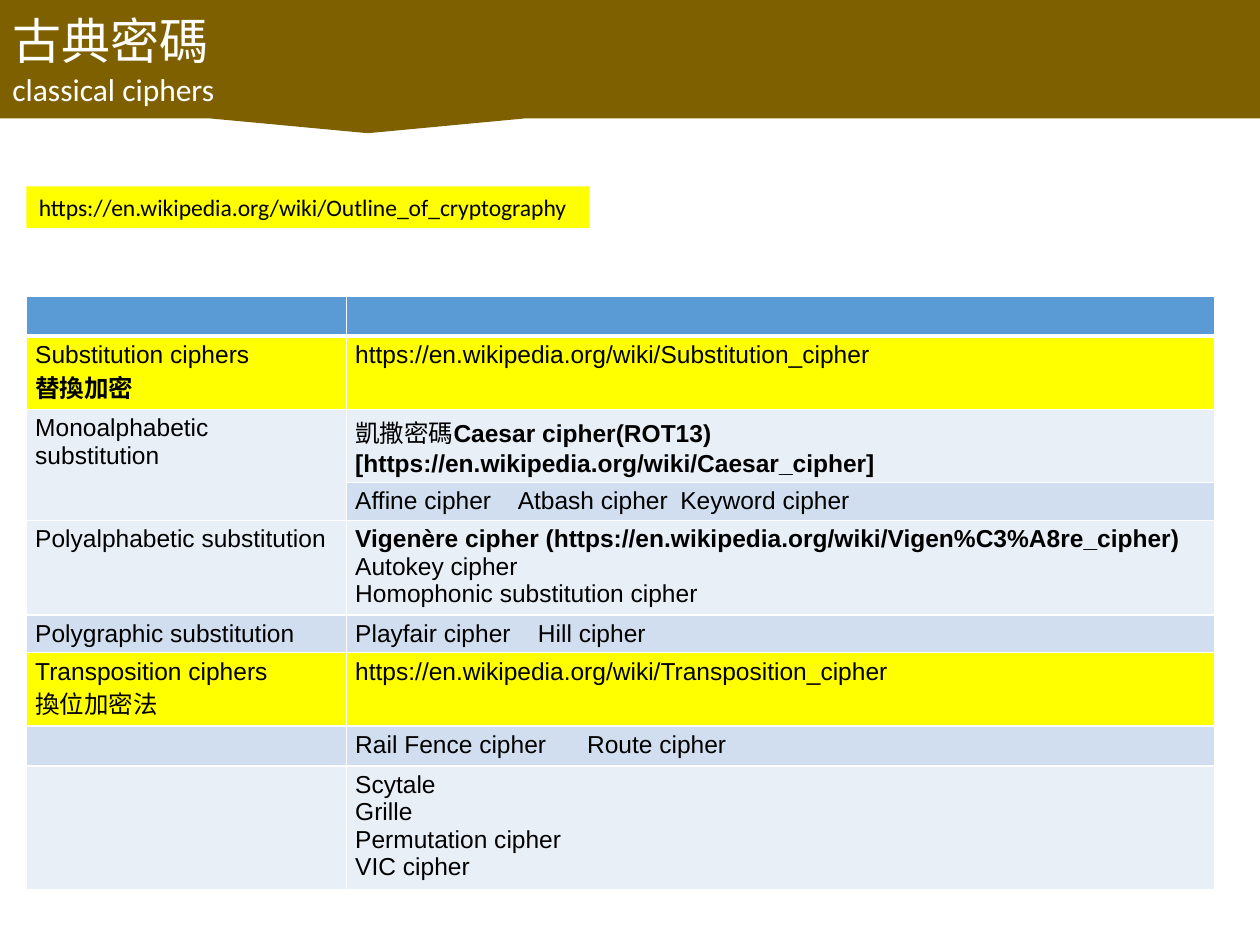
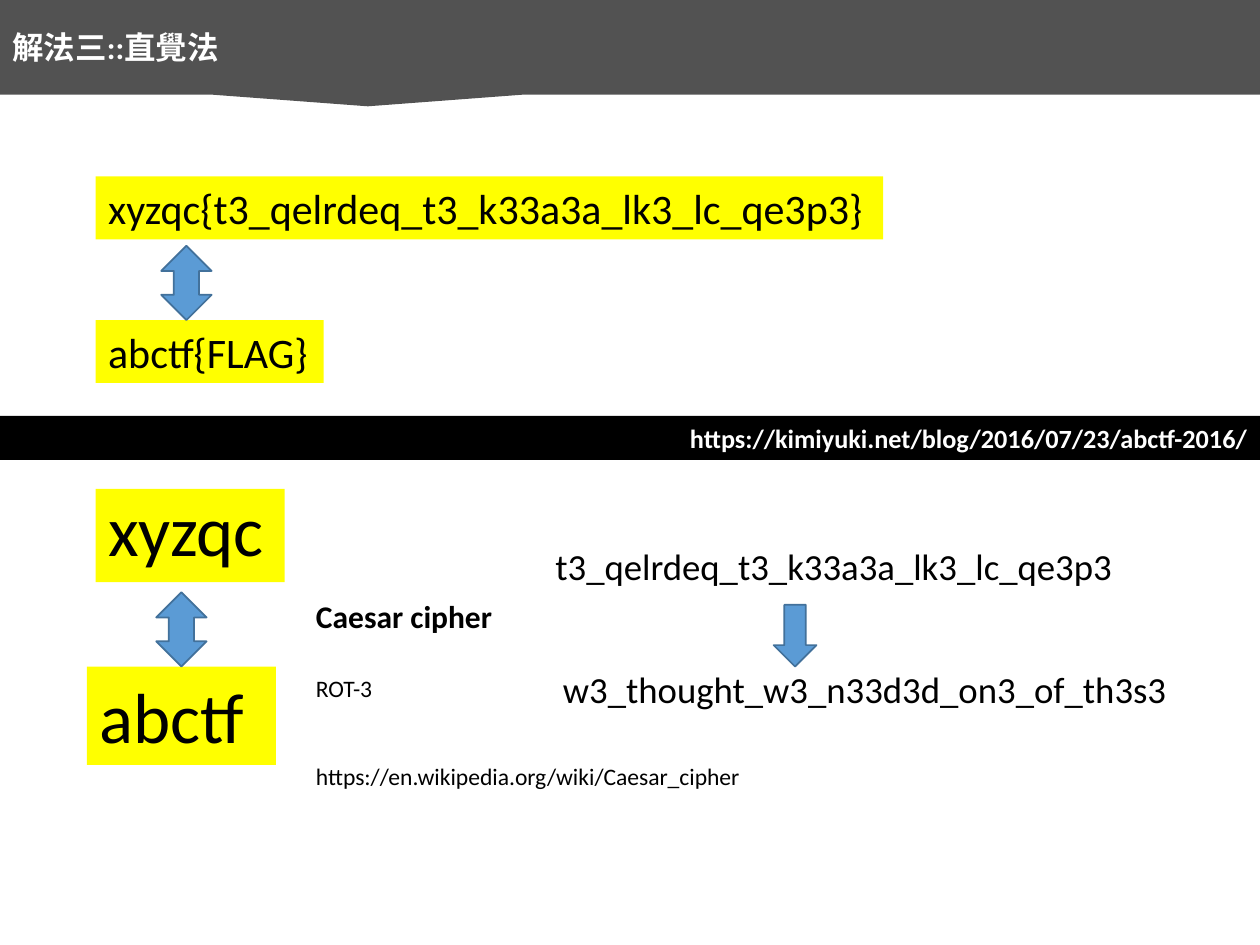
from lxml import etree
from pptx import Presentation
from pptx.dml.color import RGBColor
from pptx.enum.shapes import MSO_SHAPE
from pptx.enum.text import MSO_ANCHOR, PP_ALIGN
from pptx.oxml.ns import qn
from pptx.util import Pt

# Scale: 100 px to the inch
PX = 9144

RECT = MSO_SHAPE.RECTANGLE
CALLOUT = MSO_SHAPE.RECTANGULAR_CALLOUT
UP_DOWN, DOWN = MSO_SHAPE.UP_DOWN_ARROW, MSO_SHAPE.DOWN_ARROW
LEFT, RIGHT = PP_ALIGN.LEFT, PP_ALIGN.RIGHT
TOP, MIDDLE = MSO_ANCHOR.TOP, MSO_ANCHOR.MIDDLE

WHITE, BLACK, YELLOW = "FFFFFF", "000000", "FFFF00"
BLUE, BLUE_EDGE = "5B9BD5", "42719B"
BAND_LIGHT, BAND_DARK = "E9EFF7", "D0DEEF"
BROWN, GREY = "7F6000", "525252"


def px(n):
    return n * PX


def rgb(color):
    return RGBColor.from_string(color)


def write(tf, lines, size=14, color=BLACK, font="Calibri", bold=False,
          align=LEFT, spacing=None, tabs=()):
    """Each line is a string or a list of (text, bold) runs."""
    for i, line in enumerate([lines] if isinstance(lines, str) else lines):
        p = tf.paragraphs[0] if i == 0 else tf.add_paragraph()
        p.alignment = align
        if spacing:
            p.line_spacing = spacing
        if tabs:
            tab_list = etree.SubElement(p._p.get_or_add_pPr(), qn("a:tabLst"))
            for pos in tabs:
                etree.SubElement(tab_list, qn("a:tab"), pos=str(px(pos)), algn="l")
        for text, is_bold in [(line, bold)] if isinstance(line, str) else line:
            r = p.add_run()
            r.text = text
            r.font.name, r.font.size, r.font.bold = font, Pt(size), is_bold
            r.font.color.rgb = rgb(color)


def set_borders(cell, top=1, bottom=1):
    tc_pr = cell._tc.get_or_add_tcPr()
    for side, width in (("L", 1), ("R", 1), ("T", top), ("B", bottom)):
        ln = etree.SubElement(tc_pr, qn(f"a:ln{side}"), w=str(Pt(width)))
        fill = etree.SubElement(ln, qn("a:solidFill"))
        etree.SubElement(fill, qn("a:srgbClr"), val=WHITE)


class Deck:
    def __init__(self):
        self.prs = Presentation()
        self.prs.slide_width, self.prs.slide_height = px(1000), px(750)
        self.s = None

    def new_slide(self):
        self.s = self.prs.slides.add_slide(self.prs.slide_layouts[6])

    def shape(self, kind, x, y, w, h, fill, line=None):
        sp = self.s.shapes.add_shape(kind, px(x), px(y), px(w), px(h))
        sp.shadow.inherit = False
        sp.fill.solid()
        sp.fill.fore_color.rgb = rgb(fill)
        if line:
            sp.line.color.rgb = rgb(line)
            sp.line.width = Pt(1)
        else:
            sp.line.fill.background()
        return sp

    def box(self, x, y, w, h, lines, fill=YELLOW, kind=RECT, anchor=TOP, **fmt):
        sp = self.shape(kind, x, y, w, h, fill)
        sp.text_frame.word_wrap = True
        sp.text_frame.vertical_anchor = anchor
        write(sp.text_frame, lines, **fmt)
        return sp

    def text(self, x, y, w, h, lines, **fmt):
        sp = self.s.shapes.add_textbox(px(x), px(y), px(w), px(h))
        sp.text_frame.word_wrap = True
        write(sp.text_frame, lines, **fmt)

    def arrow(self, kind, x, y, w, h):
        self.shape(kind, x, y, w, h, BLUE, BLUE_EDGE)

    def title_band(self, height, fill, lines, **fmt):
        sp = self.box(0, 0, 1000, height, lines, fill, CALLOUT, MIDDLE,
                      color=WHITE, **fmt)
        sp.adjustments[0], sp.adjustments[1] = -0.208, 0.625
        return sp

    def table(self, x, y, widths, rows):
        """Each row is (height, fill, cells); a cell is (lines, tab stops)."""
        tbl = self.s.shapes.add_table(
            len(rows), len(widths), px(x), px(y), px(sum(widths)),
            px(sum(row[0] for row in rows))).table
        tbl.first_row = tbl.horz_banding = False
        for col, width in zip(tbl.columns, widths):
            col.width = px(width)
        for i, (height, fill, cells) in enumerate(rows):
            tbl.rows[i].height = px(height)
            for j, (lines, tabs) in enumerate(cells):
                cell = tbl.cell(i, j)
                set_borders(cell, top=3 if i == 1 else 1, bottom=3 if i == 0 else 1)
                cell.fill.solid()
                cell.fill.fore_color.rgb = rgb(fill)
                cell.margin_left = cell.margin_right = px(7)
                cell.margin_top = cell.margin_bottom = px(4)
                if lines:
                    write(cell.text_frame, lines, font="Arial", tabs=tabs)
                else:
                    # Keep the empty line as low as the written ones
                    etree.SubElement(cell.text_frame.paragraphs[0]._p,
                                     qn("a:endParaRPr"), sz="1400")
        return tbl


def classical_ciphers(deck):
    deck.new_slide()

    # Cipher families and their members
    empty = ("", ())
    rows = [
        (30, BLUE, [empty, empty]),
        (58, YELLOW, [(["Substitution ciphers", [("替換加密", True)]], ()),
                      ("https://en.wikipedia.org/wiki/Substitution_cipher", ())]),
        (58, BAND_LIGHT, [
            ("Monoalphabetic substitution", ()),
            ([[("凱撒密碼", False),
               ("Caesar cipher(ROT13) [https://en.wikipedia.org/wiki/Caesar_cipher]",
                True)]], ())]),
        (30, BAND_DARK, [empty, ("Affine cipher\tAtbash cipher\tKeyword cipher",
                                 (129, 258))]),
        (75, BAND_LIGHT, [
            ("Polyalphabetic substitution", ()),
            ([[("Vigenère cipher (https://en.wikipedia.org/wiki/Vigen%C3%A8re_cipher)",
                True)],
              "Autokey cipher", "Homophonic substitution cipher"], ())]),
        (30, BAND_DARK, [("Polygraphic substitution", ()),
                         ("Playfair cipher\tHill cipher", (145,))]),
        (58, YELLOW, [(["Transposition ciphers", "換位加密法"], ()),
                      ("https://en.wikipedia.org/wiki/Transposition_cipher", ())]),
        (30, BAND_DARK, [empty, ("Rail Fence cipher\tRoute cipher", (184,))]),
        (98, BAND_LIGHT, [empty, (["Scytale", "Grille", "Permutation cipher",
                                   "VIC cipher"], ())]),
    ]
    tbl = deck.table(21, 235, (254, 689), rows)
    tbl.cell(2, 0).merge(tbl.cell(3, 0))

    # Source link and title
    deck.box(21, 148, 447, 33,
             "https://en.wikipedia.org/wiki/Outline_of_cryptography", size=13.5)
    band = deck.title_band(94, BROWN, ["古典密碼", "classical ciphers"], size=28)
    band.text_frame.paragraphs[1].runs[0].font.size = Pt(18)


def intuitive_solution(deck):
    deck.new_slide()

    # Ciphertext against the flag format
    deck.box(76, 140, 625, 50, "xyzqc{t3_qelrdeq_t3_k33a3a_lk3_lc_qe3p3}", size=24)
    deck.box(76, 254, 181, 50, "abctf{FLAG}", size=24)
    deck.arrow(UP_DOWN, 128, 195, 40, 59)

    # Source bar
    deck.box(0, 330, 1000, 35, "https://kimiyuki.net/blog/2016/07/23/abctf-2016/",
             fill=BLACK, size=15, color=WHITE, bold=True, align=RIGHT)

    # Matching prefix
    deck.box(76, 388, 150, 74, "xyzqc", size=40.5, spacing=0.9)
    deck.box(69, 529, 150, 78, "abctf", size=40.5)
    deck.arrow(UP_DOWN, 124, 470, 40, 59)

    # Cipher name, shift and link
    deck.text(241, 469, 176, 40, "Caesar cipher", size=18, bold=True)
    deck.text(241, 530, 67, 33, "ROT-3", size=13.5)
    deck.text(241, 600, 363, 33, "https://en.wikipedia.org/wiki/Caesar_cipher",
              size=13.5)

    # Decryption
    deck.text(431, 427, 466, 45, "t3_qelrdeq_t3_k33a3a_lk3_lc_qe3p3", size=21)
    deck.text(437, 524, 504, 45, "w3_thought_w3_n33d3d_on3_of_th3s3", size=21)
    deck.arrow(DOWN, 614, 480, 34, 49)

    deck.title_band(75, GREY, "解法三::直覺法", size=18, bold=True)


def main():
    deck = Deck()
    classical_ciphers(deck)
    intuitive_solution(deck)
    deck.prs.save("out.pptx")


if __name__ == "__main__":
    main()
